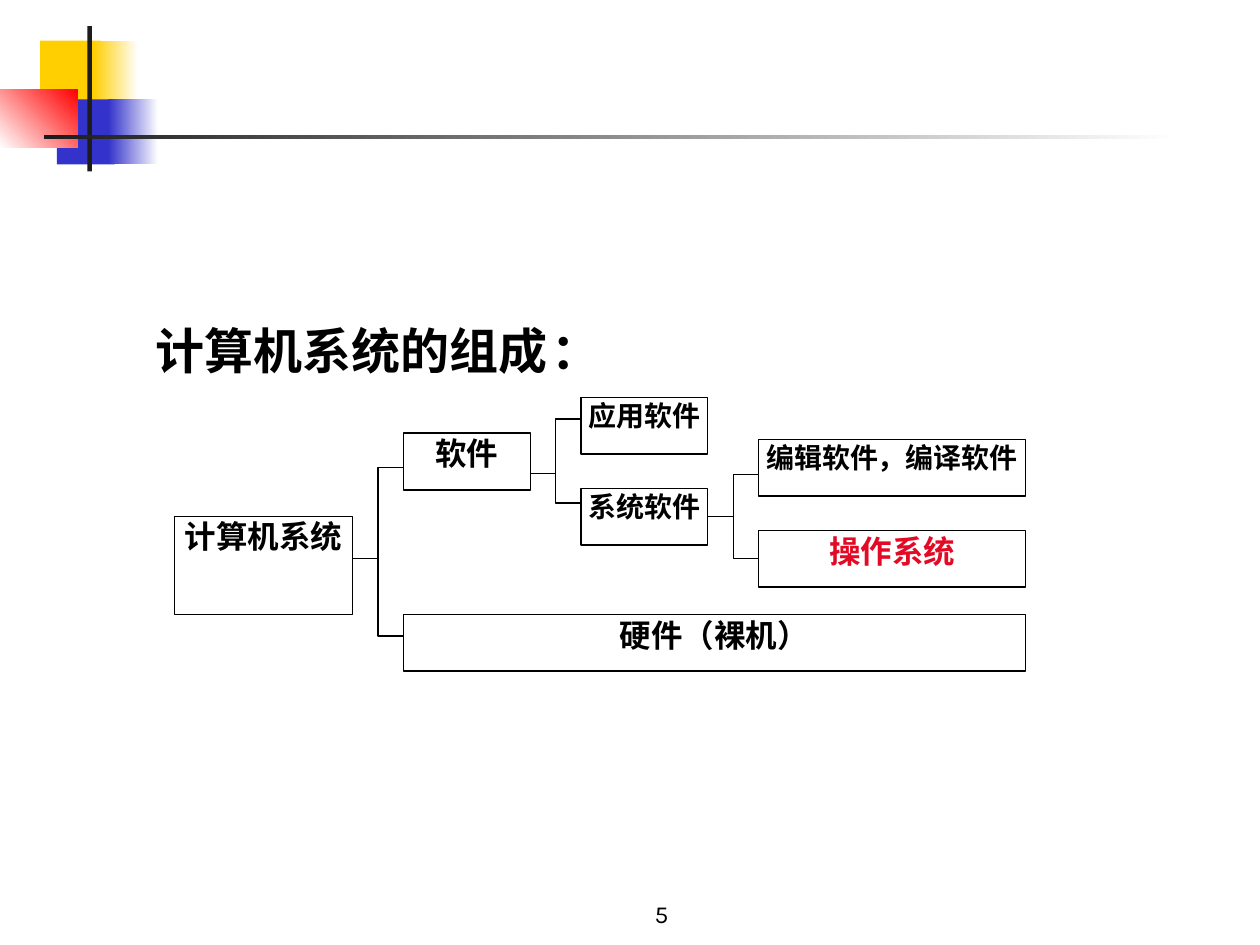
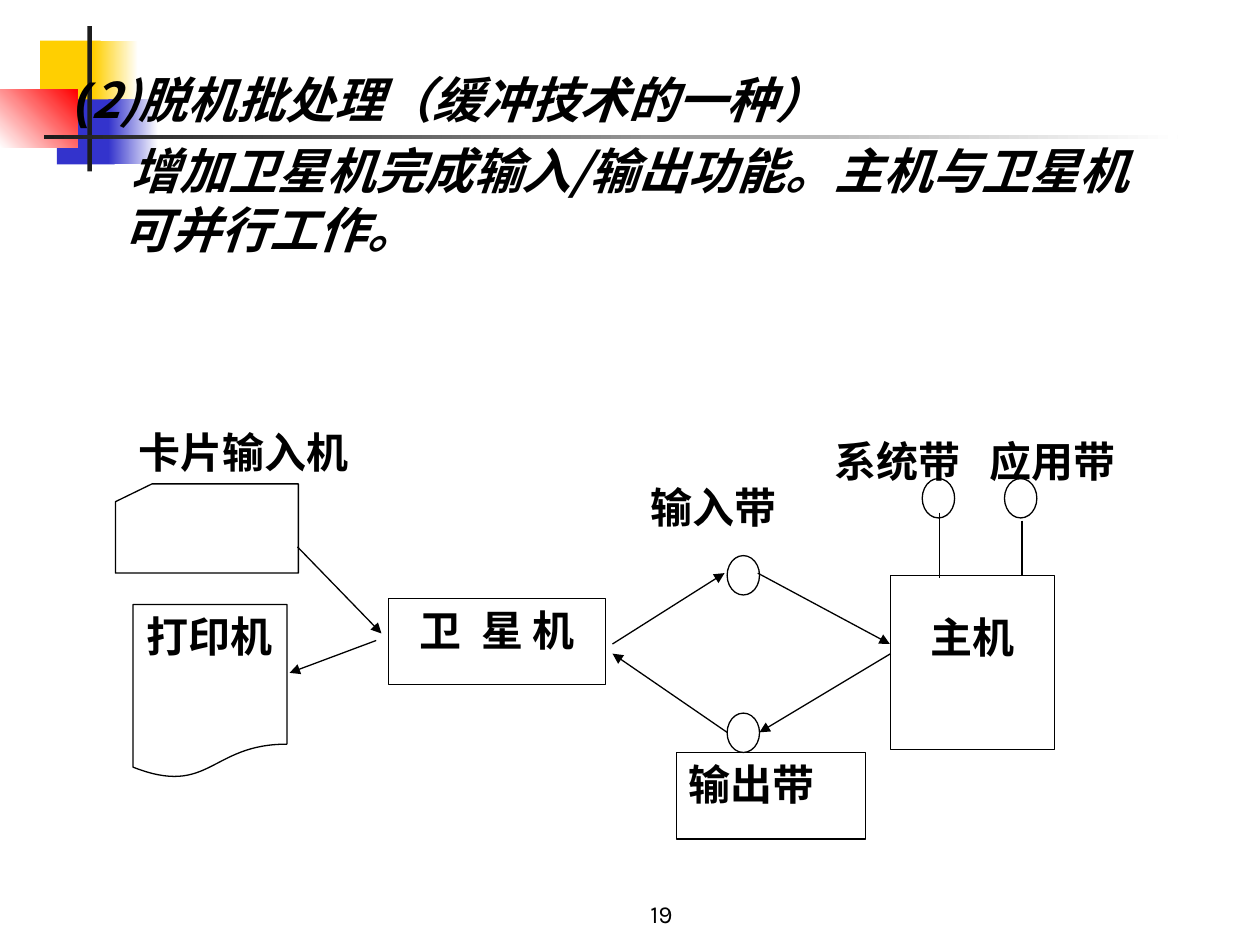
from dataclasses import dataclass

from lxml import etree
from pptx import Presentation
from pptx.dml.color import RGBColor
from pptx.enum import shapes, text
from pptx.oxml import ns
from pptx.util import Pt


@dataclass(frozen=True)
class Theme:
    # colours
    ink: str = "000000"
    bar: str = "1C1C1C"
    yellow: str = "FFCF01"
    blue: str = "3333CC"
    red: str = "FF0000"
    white: str = "FFFFFF"
    accent: str = "E20A24"
    # type
    cjk: str = "Noto Sans CJK SC"
    serif: str = "Times New Roman"
    sans: str = "Arial"
    number_font: str = "Karla"
    heading: int = 28
    label: int = 24
    node: int = 18
    small_node: int = 16
    number: int = 14
    # lines and insets
    line: float = 0.75
    insets: tuple = (7.2, 3.6)
    tight: tuple = (0.75, 0.75)


T = Theme()
RECT = shapes.MSO_SHAPE.RECTANGLE
CENTER = text.PP_ALIGN.CENTER
LEFT = text.PP_ALIGN.LEFT
TOP = text.MSO_ANCHOR.TOP
BOTTOM = text.MSO_ANCHOR.BOTTOM


# ---- text ----
def rgb(value):
    return RGBColor.from_string(value)


def format_run(r, size, font=T.serif, color=T.ink, bold=True, italic=False):
    f = r.font
    f.size, f.name, f.bold, f.italic = Pt(size), font, bold, italic
    f.color.rgb = rgb(color)
    ea = etree.Element(ns.qn("a:ea"), typeface=T.cjk)
    r._r.rPr.find(ns.qn("a:latin")).addnext(ea)


def add_run(p, words, size, font=T.serif, **style):
    r = p.add_run()
    r.text = words
    format_run(r, size, font, **style)
    return r


def set_frame(sp, insets=T.insets, anchor=TOP):
    tf = sp.text_frame
    tf.word_wrap = True
    tf.vertical_anchor = anchor
    tf.margin_left = tf.margin_right = Pt(insets[0])
    tf.margin_top = tf.margin_bottom = Pt(insets[1])
    return tf


def write(sp, words, size, align=CENTER, insets=T.insets, anchor=TOP, **style):
    tf = set_frame(sp, insets, anchor)
    tf.text = words
    p = tf.paragraphs[0]
    p.alignment = align
    for r in p.runs:
        format_run(r, size, **style)


def add_text_box(s, *box):
    return s.shapes.add_textbox(*map(Pt, box))


def add_label(s, words, *box, align=LEFT):
    write(add_text_box(s, *box), words, T.label, align)


# ---- shapes and lines ----
def outline(sp):
    sp.shadow.inherit = False
    sp.fill.background()
    sp.line.color.rgb = rgb(T.ink)
    sp.line.width = Pt(T.line)
    return sp


def add_outlined(s, kind, *box):
    return outline(s.shapes.add_shape(kind, *map(Pt, box)))


def add_block(s, box, start, end=None, angle=0):
    sp = s.shapes.add_shape(RECT, *map(Pt, box))
    sp.shadow.inherit = False
    sp.line.fill.background()
    if end is None:
        sp.fill.solid()
        sp.fill.fore_color.rgb = rgb(start)
        return
    sp.fill.gradient()
    sp.fill.gradient_angle = angle
    for stop, color, position in zip(sp.fill.gradient_stops, (start, end), (0, 1)):
        stop.color.rgb = rgb(color)
        stop.position = position


def add_line(s, start, end, arrow=False):
    c = s.shapes.add_connector(shapes.MSO_CONNECTOR.STRAIGHT, *map(Pt, start + end))
    c.line.color.rgb = rgb(T.ink)
    c.line.width = Pt(T.line)
    if arrow:
        etree.SubElement(c.line._get_or_add_ln(), ns.qn("a:tailEnd"), type="triangle")
    etree.SubElement(c._element.spPr, ns.qn("a:effectLst"))
    return c


def add_bracket(s, spine, right, top, bottom):
    points = [(Pt(x), Pt(y)) for x, y in
              ((right, top), (spine, top), (spine, bottom), (right, bottom))]
    builder = s.shapes.build_freeform(*points[0], scale=1.0)
    builder.add_line_segments(points[1:], close=False)
    outline(builder.convert_to_shape())


# ---- shared slide parts ----
def add_slide(prs, number):
    s = prs.slides.add_slide(prs.slide_layouts[6])
    s.background.fill.solid()
    s.background.fill.fore_color.rgb = rgb(T.white)
    add_block(s, (23, 23.25, 34.5, 37.5), T.yellow)
    add_block(s, (53.5, 23.25, 25.5, 37.5), T.yellow, T.white)
    add_block(s, (32.5, 56.75, 33, 37.25), T.blue)
    add_block(s, (62, 56.75, 28.5, 37.25), T.blue, T.white)
    add_block(s, (0, 51, 44.25, 33.25), T.white, T.red, angle=45)
    add_block(s, (50, 15, 2.5, 83), T.bar)
    add_block(s, (25, 77, 648, 2.5), T.bar, T.white)
    write(add_text_box(s, 264, 498, 228, 36), number, T.number,
          anchor=BOTTOM, font=T.number_font, bold=False)
    return s


# ---- slide: composition of a computer system ----
def build_composition(prs):
    s = add_slide(prs, "5")
    columns = [230.5 + 101.5 * i for i in range(3)]
    node_w, wide_w, node_h, gap = 72.5, 152.5, 32.5, 14.5

    def add_node(words, x, y, w, h=node_h, size=T.node, **style):
        sp = add_outlined(s, RECT, x, y, w, h)
        write(sp, words, size, insets=T.tight, **style)
        return sp

    # Nodes
    add_node("计算机系统", 99.75, 295, 101.75, 56, font=T.cjk)
    add_node("软件", columns[0], 247.5, node_w)
    add_node("硬件（裸机）", columns[0], 351, columns[2] + wide_w - columns[0])
    add_node("应用软件", columns[1], 227, node_w, size=T.small_node)
    system = add_node("系统软件", columns[1], 279, node_w, size=T.small_node)
    add_node("编辑软件，编译软件", columns[2], 251, wide_w, size=T.small_node)
    add_node("操作系统", columns[2], 303, wide_w, color=T.accent)

    # Branches: a stem from the parent, a bracket to its two children
    branches = [(201.5, 319, 267, 363.5),
                (columns[0] + node_w, 270.5, 239.5, 287.5),
                (columns[1] + node_w, 279 + node_h / 2, 271, 319)]
    for column, (parent_right, stem_y, top, bottom) in zip(columns, branches):
        spine = column - gap
        add_bracket(s, spine, column, top, bottom)
        stem = add_line(s, (parent_right, stem_y), (spine, stem_y))
    stem.begin_connect(system, 3)

    # Heading
    tf = set_frame(add_text_box(s, 82, 179.5, 330, 41))
    p = tf.paragraphs[0]
    add_run(p, "计算机系统的组成", T.heading, T.cjk)
    add_run(p, " ", 11)
    add_run(p, "：", T.heading, T.cjk)


# ---- slide: offline batch processing ----
def add_offline_text(s):
    tf = set_frame(add_text_box(s, 36, 36, 642, 120))
    paragraphs = [
        (-27, 0, [("(", T.sans), ("2)脱机批处理（缓冲技术的一种）", T.cjk)]),
        (4.5, 7, [("增加卫星机完成输入/输出功能。主机与卫星机可并行工作。", T.cjk)]),
    ]
    for i, (indent, before, runs) in enumerate(paragraphs):
        p = tf.add_paragraph() if i else tf.paragraphs[0]
        p.line_spacing = 1.0
        p.space_before = Pt(before)
        pPr = p._p.get_or_add_pPr()
        pPr.set("marL", str(Pt(27)))
        pPr.set("indent", str(Pt(indent)))
        for words, font in runs:
            add_run(p, words, T.heading, font, italic=True)


def build_offline(prs):
    s = add_slide(prs, "19")
    add_offline_text(s)

    # Tape labels
    add_label(s, "系统带", 469.5, 245.5, 90, 50)
    add_label(s, "应用带", 558.5, 245.5, 90, 50)
    add_label(s, "输入带", 364.5, 271.5, 99, 50)
    output = add_outlined(s, RECT, 386.5, 430, 108, 49.5)
    write(output, "输出带", T.label, LEFT)

    # Machines
    satellite = add_outlined(s, RECT, 222, 342, 124, 49)
    p = set_frame(satellite).paragraphs[0]
    p.alignment = CENTER
    add_run(p, "卫", T.label)
    wide_gap = add_run(p, " ", T.label)
    wide_gap._r.rPr.set("spc", "600")
    add_run(p, "星 机", T.label)
    add_outlined(s, RECT, 509, 329, 93.5, 99.5)
    add_label(s, "主机", 524, 346, 63.5, 36, align=CENTER)
    printer = add_outlined(s, shapes.MSO_SHAPE.FLOWCHART_DOCUMENT, 76, 345.5, 88, 99.5)
    write(printer, "打印机", T.label)
    add_outlined(s, shapes.MSO_SHAPE.FLOWCHART_CARD, 66, 276.5, 104.5, 51)
    add_label(s, "卡片输入机", 72, 240, 156, 50)

    # Tape reels
    for x, y in ((415.5, 317.5), (415.5, 407.5), (527, 273.5), (574, 273.5)):
        add_outlined(s, shapes.MSO_SHAPE.OVAL, x, y, 18.5, 22.5)

    # Data flow
    flows = [((170, 312.5), (218, 362)), ((215, 366), (165.5, 384.5)),
             ((350, 368), (414, 327.5)), ((433, 327.5), (508.5, 368)),
             ((509, 373.5), (434, 418.5)), ((415.5, 418.5), (350, 373.5))]
    for start, end in flows:
        add_line(s, start, end, arrow=True)
    add_line(s, (537, 293), (537, 330.5))
    add_line(s, (584, 297.5), (584, 328.5))


def main():
    prs = Presentation()
    prs.slide_width, prs.slide_height = Pt(720), Pt(540)
    build_composition(prs)
    build_offline(prs)
    prs.save("out.pptx")


if __name__ == "__main__":
    main()
